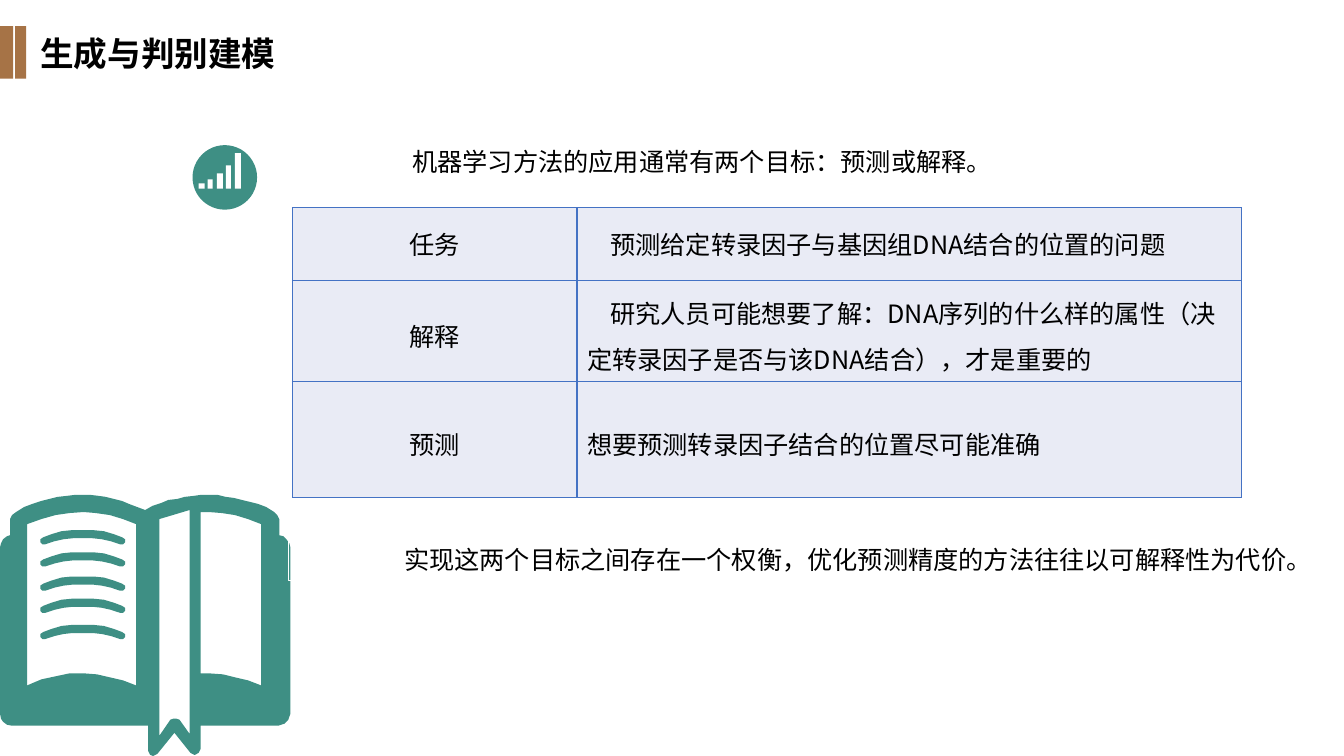
from collections import namedtuple
from lxml.etree import SubElement
from pptx import Presentation
from pptx.dml.color import RGBColor
from pptx.enum.shapes import MSO_SHAPE
from pptx.enum.text import MSO_ANCHOR, MSO_AUTO_SIZE, PP_ALIGN
from pptx.oxml.ns import qn
from pptx.util import Inches, Pt

HUES = {"brown": "A67346", "green": "3E8F84", "white": "FFFFFF",
        "text": "000000", "cell": "E9EBF5", "edge": "4472C4"}
FONT = "Noto Sans CJK SC"
WIDE, HIGH = 13.33, 7.5
Box = namedtuple("Box", "x y w h")

# Book contours on a grid of 288 columns by 259 rows
BOOK = (288, 259)
COVER = [
    (277, 40), (281, 41), (284, 44), (287, 48), (288, 52), (288, 217),
    (286, 223), (282, 227), (276, 229), (199, 229), (199, 252), (197, 256),
    (193, 258), (189, 256), (173, 236), (156, 257), (152, 259), (149, 258),
    (147, 254), (147, 229), (12, 229), (7, 228), (3, 225), (1, 222),
    (0, 217), (0, 52), (1, 48), (3, 44), (7, 41), (10, 40), (10, 24),
    (12, 20), (16, 17), (24, 12), (32, 9), (41, 6), (49, 4), (57, 2),
    (66, 1), (74, 0), (90, 0), (98, 1), (105, 2), (113, 4), (121, 6),
    (128, 9), (144, 15), (151, 11), (160, 8), (167, 5), (176, 4), (183, 2),
    (192, 1), (199, 0), (216, 0), (224, 2), (232, 3), (240, 5), (248, 7),
    (256, 9), (264, 12), (272, 17), (275, 20), (277, 24)]
RIBBON = [(158, 24), (158, 239), (169, 223), (172, 222), (175, 222),
          (178, 223), (188, 237), (188, 15)]
LEFT = [(83, 17), (69, 18), (55, 20), (41, 24), (27, 29), (27, 189),
        (41, 183), (55, 180), (69, 177), (83, 177), (96, 178), (109, 181),
        (122, 184), (135, 189), (135, 29), (122, 24), (109, 20), (95, 18)]
RIGHT = [(199, 177), (207, 177), (221, 178), (233, 181), (246, 184),
         (259, 189), (259, 29), (246, 24), (233, 20), (220, 18), (207, 17),
         (199, 17)]
HALF = [(82, 8), (72, 8), (63, 9), (54, 11), (45, 14), (42, 14), (40, 12),
        (40, 9), (43, 7), (51, 4), (61, 1), (71, 0), (82, 0)]
STROKE = HALF + [(164 - x, y) for x, y in HALF[-2:0:-1]]
TOPS = [35, 57, 81, 103, 129]

ROWS = [("任务", "预测给定转录因子与基因组DNA结合的位置的问题", 0.72, 1.0, 0.23),
        ("解释", "研究人员可能想要了解：DNA序列的什么样的属性"
         "（决定转录因子是否与该DNA结合），才是重要的", 0.99, 1.25, 0.23),
        ("预测", "想要预测转录因子结合的位置尽可能准确", 1.15, 1.25, 0)]


def hue(name):
    return RGBColor.from_string(HUES[name])


def place(box):
    return [Inches(n) for n in box]


def paint(shape, fill):
    shape.shadow.inherit = False
    shape.fill.solid()
    shape.fill.fore_color.rgb = hue(fill)
    shape.line.fill.background()


def write(frame, text, size=18, bold=False, align=PP_ALIGN.LEFT, space=1.0,
          indent=0):
    frame.text = text
    para = frame.paragraphs[0]
    para.alignment = align
    para.line_spacing = space
    if indent:
        props = para._p.get_or_add_pPr()
        props.set("marL", "0")
        props.set("indent", str(Inches(indent)))
    for run in para.runs:
        run.font.size = Pt(size)
        run.font.bold = bold
        run.font.name = FONT
        run.font.color.rgb = hue("text")
        SubElement(run._r.get_or_add_rPr(), qn("a:ea")).set("typeface", FONT)


def trace(shapes, box, grid, paths, fill):
    """Draw closed contours, given in grid cells of the box, as one shape."""
    scale = Inches(box.w) / grid[0], Inches(box.h) / grid[1]
    pen = shapes.build_freeform(*paths[0][0], scale=scale)
    for num, path in enumerate(paths):
        if num:
            pen.move_to(*path[0])
        pen.add_line_segments(path[1:], close=True)
    paint(pen.convert_to_shape(Inches(box.x), Inches(box.y)), fill)


def head(slide, box):
    for x, w in ((0, 0.13), (0.15, 0.11)):
        bar = slide.shapes.add_shape(
            MSO_SHAPE.RECTANGLE, *place((box.x + x, box.y, w, box.h)))
        paint(bar, "brown")
    title = slide.shapes.title
    title.left, title.top, title.width, title.height = place(
        (box.x + 0.3, box.y + 0.02, box.w - 0.3, box.h - 0.02))
    frame = title.text_frame
    frame.word_wrap = True
    frame.auto_size = MSO_AUTO_SIZE.NONE
    frame.vertical_anchor = MSO_ANCHOR.TOP
    write(frame, "生成与判别建模", 24, True)


def book(slide, box):
    lines = [[(x, y + top) for x, y in STROKE] for top in TOPS]
    trace(slide.shapes, box, BOOK, [COVER, RIBBON, LEFT, RIGHT] + lines,
          "green")


def icon(slide, box):
    group = slide.shapes.add_group_shape().shapes
    paint(group.add_shape(MSO_SHAPE.OVAL, *place(box)), "green")
    bars = []
    for num, top in enumerate((38, 34, 28, 20, 8)):
        x = 6 + 9 * num
        bars.append([(x, 43), (x, top), (x + 5.5, top), (x + 5.5, 43)])
    trace(group, box, (64, 64), bars, "white")


def note(slide, box, text, indent):
    shape = slide.shapes.add_shape(MSO_SHAPE.RECTANGLE, *place(box))
    shape.shadow.inherit = False
    shape.fill.background()
    shape.line.color.rgb = hue("white")
    shape.line.width = Pt(0.75)
    frame = shape.text_frame
    frame.word_wrap = True
    frame.vertical_anchor = MSO_ANCHOR.TOP
    write(frame, text, space=1.25, indent=indent)


def edge(cell):
    props = cell._tc.get_or_add_tcPr()
    for num, side in enumerate(("lnL", "lnR", "lnT", "lnB")):
        line = props.makeelement(qn("a:" + side), {"w": str(Pt(1))})
        props.insert(num, line)
        fill = SubElement(line, qn("a:solidFill"))
        SubElement(fill, qn("a:srgbClr")).set("val", HUES["edge"])


def goals(slide, box):
    table = slide.shapes.add_table(len(ROWS), 2, *place(box)).table
    table.first_row = table.horz_banding = False
    for col, share in zip(table.columns, (0.3, 0.7)):
        col.width = Inches(box.w * share)
    for num, (name, text, high, space, indent) in enumerate(ROWS):
        table.rows[num].height = Inches(high)
        for col in range(2):
            cell = table.cell(num, col)
            cell.vertical_anchor = MSO_ANCHOR.MIDDLE
            cell.fill.solid()
            cell.fill.fore_color.rgb = hue("cell")
            edge(cell)
        write(table.cell(num, 0).text_frame, name, align=PP_ALIGN.CENTER,
              space=space)
        write(table.cell(num, 1).text_frame, text, space=space, indent=indent)


def main():
    deck = Presentation()
    deck.slide_width, deck.slide_height = Inches(WIDE), Inches(HIGH)
    slide = deck.slides.add_slide(deck.slide_layouts[5])
    head(slide, Box(0, 0.26, 5.56, 0.52))
    book(slide, Box(0, HIGH - 2.59, 2.88, 2.59))
    note(slide, Box(2.99, 1.33, 8.39, 0.48),
         "机器学习方法的应用通常有两个目标：预测或解释。", 1)
    icon(slide, Box(1.91, 1.44, 0.64, 0.64))
    goals(slide, Box(2.9, 2.06, 9.41, 2.86))
    note(slide, Box(2.86, 5.28, 10.32, 0.48),
         "实现这两个目标之间存在一个权衡，优化预测精度的方法往往以可解释性为代价。", 1.05)
    deck.save("out.pptx")


if __name__ == "__main__":
    main()
